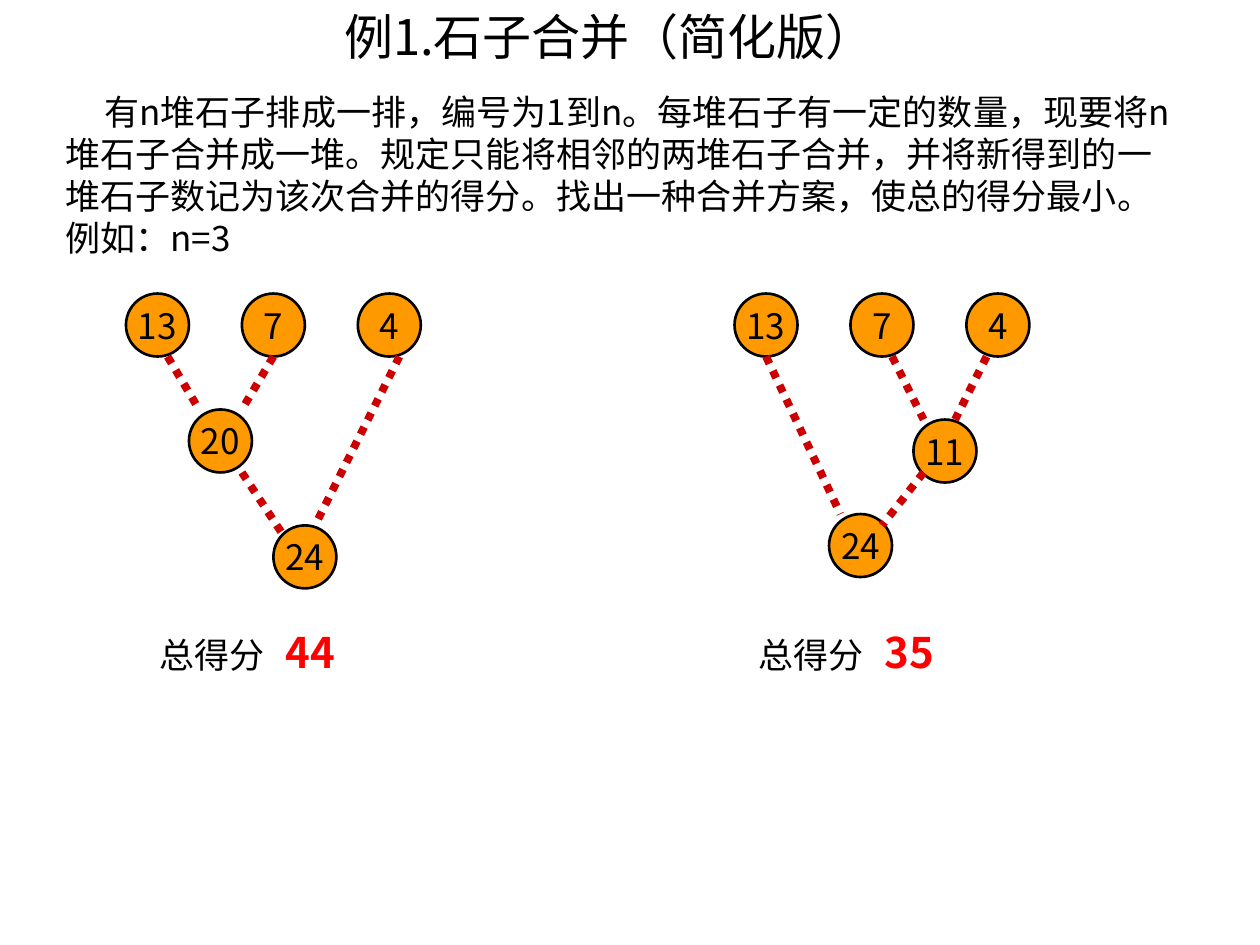
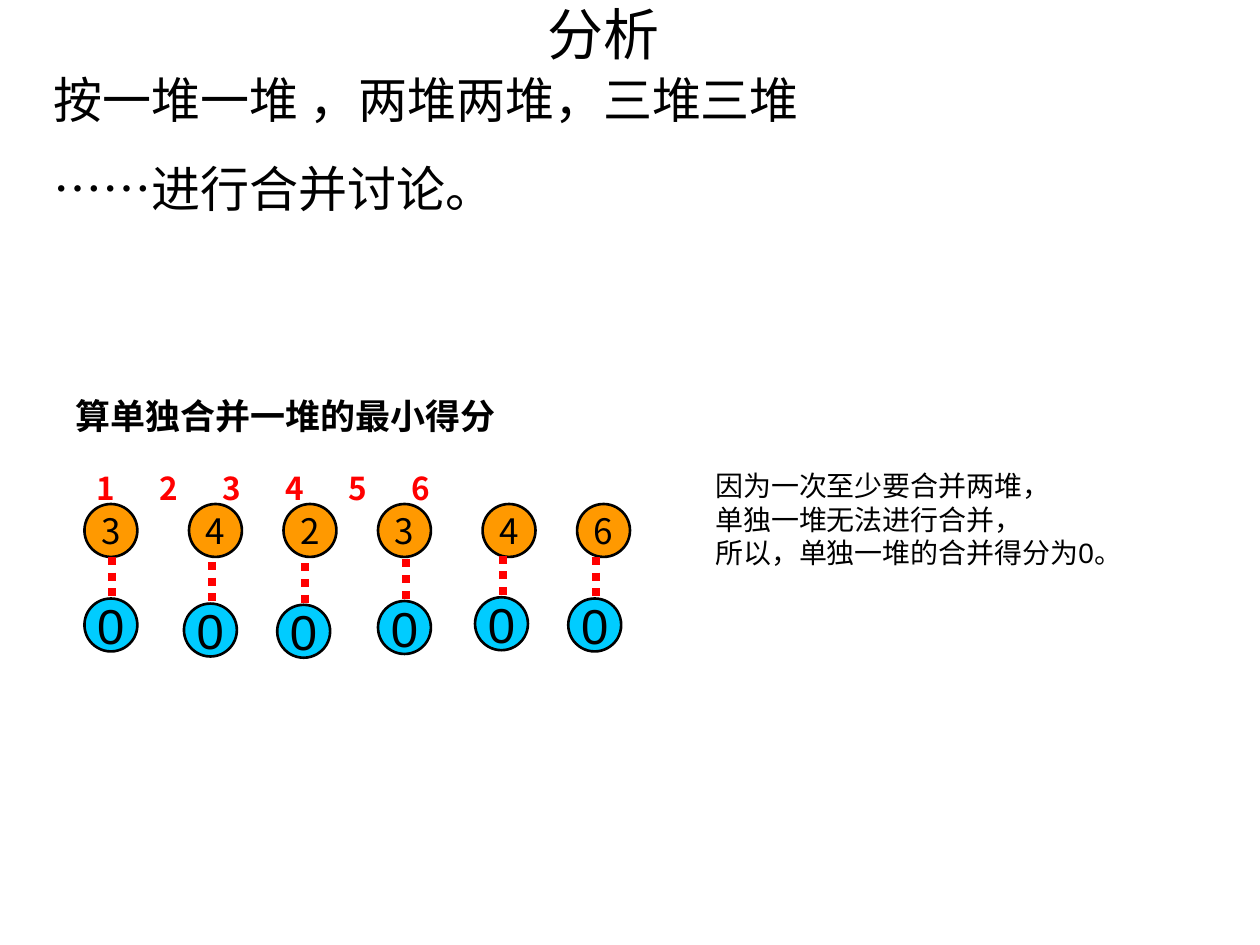
from dataclasses import dataclass
from typing import Optional

from lxml.etree import SubElement
from pptx import Presentation
from pptx.dml.color import RGBColor
from pptx.enum.dml import MSO_LINE
from pptx.enum.shapes import MSO_CONNECTOR, MSO_SHAPE
from pptx.enum.text import MSO_ANCHOR, MSO_AUTO_SIZE, PP_ALIGN
from pptx.oxml.ns import qn
from pptx.slide import Slide
from pptx.text.text import TextFrame
from pptx.util import Inches, Pt


@dataclass(frozen=True)
class Theme:
    ink: str = "000000"
    pile: str = "FF9900"
    score: str = "00CCFF"
    merge_link: str = "CC0000"
    accent: str = "FF0000"
    cjk: str = "Noto Sans CJK SC"
    latin: str = "Arial"
    title: int = 32
    large: int = 28
    total: int = 24
    body: int = 20
    index: int = 18
    note: int = 16
    outline: float = 1.5
    link: float = 4.5


THEME = Theme()


@dataclass(frozen=True)
class Box:
    left: float
    top: float
    width: float
    height: float

    def lengths(self) -> tuple:
        return tuple(Inches(v) for v in (self.left, self.top, self.width, self.height))


@dataclass(frozen=True)
class Span:
    text: str
    size: int = THEME.body
    color: str = THEME.ink
    font: str = THEME.cjk
    bold: bool = False


@dataclass(frozen=True)
class Paragraph:
    spans: tuple[Span, ...]
    align: PP_ALIGN = PP_ALIGN.LEFT
    before: float = 0
    indent: float = 0
    tabs: tuple[float, ...] = ()


@dataclass(frozen=True)
class Stone:
    value: str
    left: float
    top: float
    diameter: float = 0.5
    fill: str = THEME.pile
    size: int = THEME.body
    font: str = THEME.cjk


@dataclass(frozen=True)
class Link:
    x1: float
    y1: float
    x2: float
    y2: float
    color: str = THEME.merge_link


@dataclass(frozen=True)
class MergePlan:
    left: float
    merged: tuple[Stone, ...]
    links: tuple[Link, ...]
    total: str
    total_left: float


PILES = ("13", "7", "4")
PILE_STEP = 0.92

PLANS = (
    MergePlan(
        1,
        (Stone("20", 1.5, 3.25), Stone("24", 2.17, 4.17)),
        (
            Link(1.33, 2.83, 1.58, 3.25),
            Link(2.17, 2.83, 1.92, 3.25),
            Link(3.17, 2.83, 2.5, 4.17),
            Link(1.92, 3.75, 2.25, 4.25),
        ),
        "44",
        1.17,
    ),
    MergePlan(
        5.83,
        (Stone("11", 7.25, 3.33), Stone("24", 6.58, 4.08)),
        (
            Link(7.08, 2.83, 7.33, 3.33),
            Link(7.83, 2.83, 7.58, 3.33),
            Link(6.08, 2.83, 6.67, 4.08),
            Link(7.33, 3.75, 7, 4.17),
        ),
        "35",
        5.92,
    ),
)

SINGLE_PILES = (
    ("3", 0.67, 0.67, 4.75),
    ("4", 1.5, 1.46, 4.79),
    ("2", 2.25, 2.2, 4.8),
    ("3", 3, 3, 4.77),
    ("4", 3.83, 3.77, 4.74),
    ("6", 4.58, 4.51, 4.75),
)


def write(frame: TextFrame, paragraphs: tuple[Paragraph, ...]) -> None:
    for number, content in enumerate(paragraphs):
        paragraph = frame.paragraphs[0] if number == 0 else frame.add_paragraph()
        paragraph.alignment = content.align
        paragraph.space_before = Pt(content.before)
        properties = paragraph._p.get_or_add_pPr()
        properties.set("marL", "0")
        properties.set("indent", str(Inches(content.indent)))
        if content.tabs:
            stops = SubElement(properties, qn("a:tabLst"))
            for position in content.tabs:
                SubElement(stops, qn("a:tab"), pos=str(Inches(position)), algn="l")
        for span in content.spans:
            run = paragraph.add_run()
            run.text = span.text
            run.font.size = Pt(span.size)
            run.font.bold = span.bold
            run.font.name = span.font
            run.font.color.rgb = RGBColor.from_string(span.color)
            SubElement(run._r.get_or_add_rPr(), qn("a:ea"), typeface=THEME.cjk)


def add_title(slide: Slide, box: Box, span: Span, anchor: MSO_ANCHOR) -> None:
    title = slide.shapes.title
    title.left, title.top, title.width, title.height = box.lengths()
    title.text_frame.auto_size = MSO_AUTO_SIZE.NONE
    title.text_frame.vertical_anchor = anchor
    write(title.text_frame, (Paragraph((span,), PP_ALIGN.CENTER),))


def add_text(slide: Slide, box: Box, *paragraphs: Paragraph) -> None:
    frame = slide.shapes.add_textbox(*box.lengths()).text_frame
    frame.word_wrap = True
    write(frame, paragraphs)


def add_stone(slide: Slide, stone: Stone) -> None:
    box = Box(stone.left, stone.top, stone.diameter, stone.diameter)
    circle = slide.shapes.add_shape(MSO_SHAPE.OVAL, *box.lengths())
    circle.shadow.inherit = False
    circle.fill.solid()
    circle.fill.fore_color.rgb = RGBColor.from_string(stone.fill)
    circle.line.color.rgb = RGBColor.from_string(THEME.ink)
    circle.line.width = Pt(THEME.outline)
    circle.text_frame.word_wrap = False
    circle.text_frame.vertical_anchor = MSO_ANCHOR.MIDDLE
    value = Span(stone.value, stone.size, font=stone.font)
    write(circle.text_frame, (Paragraph((value,), PP_ALIGN.CENTER),))


def add_link(slide: Slide, link: Link) -> None:
    ends = (Inches(v) for v in (link.x1, link.y1, link.x2, link.y2))
    connector = slide.shapes.add_connector(MSO_CONNECTOR.STRAIGHT, *ends)
    connector.line.color.rgb = RGBColor.from_string(link.color)
    connector.line.width = Pt(THEME.link)
    connector.line.dash_style = MSO_LINE.ROUND_DOT
    SubElement(connector._element.spPr, qn("a:effectLst"))


def add_plan(slide: Slide, plan: MergePlan) -> None:
    for column, value in enumerate(PILES):
        add_stone(slide, Stone(value, plan.left + column * PILE_STEP, 2.33))
    for stone in plan.merged:
        add_stone(slide, stone)
    for link in plan.links:
        add_link(slide, link)
    total = Span(plan.total, THEME.total, THEME.accent, bold=True)
    add_text(
        slide,
        Box(plan.total_left, 4.92, 2.25, 0.5),
        Paragraph((Span("总得分\t"), total), tabs=(1.02,)),
    )


def build_problem(slide: Slide) -> None:
    title = Span("例1.石子合并（简化版）", THEME.large)
    add_title(slide, Box(0.75, 0, 8.17, 0.57), title, MSO_ANCHOR.TOP)
    problem = Span(
        "有n堆石子排成一排，编号为1到n。每堆石子有一定的数量，现要将n堆石子合并成一堆。"
        "规定只能将相邻的两堆石子合并，并将新得到的一堆石子数记为该次合并的得分。"
        "找出一种合并方案，使总的得分最小。例如：n=3"
    )
    add_text(slide, Box(0.42, 0.67, 9.08, 1.94), Paragraph((problem,), indent=0.31))
    for plan in PLANS:
        add_plan(slide, plan)


def build_analysis(slide: Slide) -> None:
    title = Span("分析", THEME.title, font=THEME.latin)
    add_title(slide, Box(0.5, 0, 8.58, 0.53), title, MSO_ANCHOR.MIDDLE)
    add_text(
        slide,
        Box(0.33, 0.5, 6.33, 1.74),
        Paragraph((Span("按一堆一堆 ，两堆两堆，三堆三堆", THEME.large),)),
        Paragraph((Span("……进行合并讨论。", THEME.large),), before=17.5),
    )
    heading = Span("算单独合并一堆的最小得分", font=THEME.latin, bold=True)
    add_text(slide, Box(0.5, 3.08, 4, 0.44), Paragraph((heading,)))
    indices = Span("1\t2\t3\t4\t5\t6", THEME.index, THEME.accent, bold=True)
    add_text(
        slide,
        Box(0.67, 3.67, 4.83, 0.4),
        Paragraph((indices,), tabs=(0.71, 1.31, 1.9, 2.56, 3.17)),
    )
    for value, pile_left, score_left, score_top in SINGLE_PILES:
        add_stone(slide, Stone(value, pile_left, 4, 0.42))
        add_stone(
            slide,
            Stone("0", score_left, score_top, 0.42, THEME.score, THEME.large, THEME.latin),
        )
        middle = score_left + 0.22
        add_link(slide, Link(middle, score_top - 0.33, middle, score_top, THEME.accent))
    reasons = (
        "因为一次至少要合并两堆，",
        "单独一堆无法进行合并，",
        "所以，单独一堆的合并得分为0。",
    )
    add_text(
        slide,
        Box(5.58, 3.67, 3.9, 0.9),
        *(Paragraph((Span(line, THEME.note, font=THEME.latin),)) for line in reasons),
    )


def main() -> None:
    deck = Presentation()
    deck.slide_width, deck.slide_height = Inches(10), Inches(7.5)
    title_only = deck.slide_layouts[5]
    for build in (build_problem, build_analysis):
        build(deck.slides.add_slide(title_only))
    deck.save("out.pptx")


if __name__ == "__main__":
    main()
